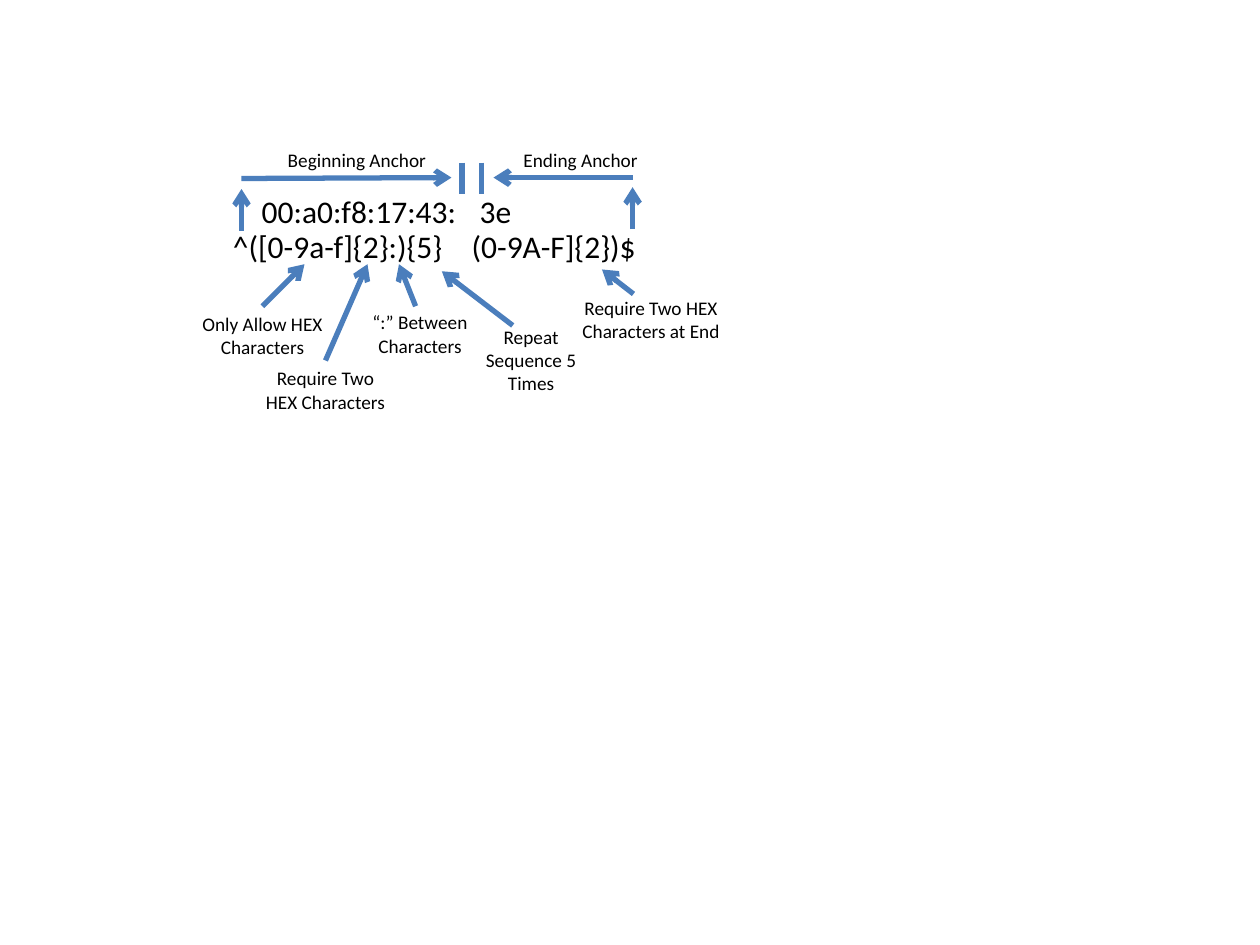
from lxml import etree
from pptx import Presentation
from pptx.dml.color import RGBColor
from pptx.enum import shapes, text
from pptx.oxml import ns
from pptx.util import Pt

COLORS = {"text": "000000", "line": "4B7EBC"}
FONT = "Calibri"
LEFT, CENTER, RIGHT = text.PP_ALIGN.LEFT, text.PP_ALIGN.CENTER, text.PP_ALIGN.RIGHT

# Content: address and pattern pieces (text, left, top, width)
CODE_HEIGHT = 29
CODE = [
    ("^([0-9a-f]{2}:){5}", 126, 126, 134),
    ("(0-9A-F]{2})$", 262.5, 126, 116),
    ("00:a0:f8:17:43:", 142.5, 106, 127.5),
    ("3e", 267, 106, 33),
]

# Labels: paragraphs, left, top, width, height, alignment
NOTE_WIDTH = 132
LABELS = [
    (["Beginning Anchor"], 138, 81, NOTE_WIDTH, 20.6, CENTER),
    (["Ending Anchor"], 290, 81, 81.5, 20.6, RIGHT),
    (["Only Allow HEX Characters"], 84, 175, NOTE_WIDTH, 34, CENTER),
    (["Require Two", "HEX Characters"], 120, 206, NOTE_WIDTH, 34, CENTER),
    (["“:” Between", "Characters"], 174, 174, NOTE_WIDTH, 34, CENTER),
    (["Repeat", "Sequence 5", "Times"], 237.5, 182.5, NOTE_WIDTH, 47.5, CENTER),
    (["Require Two HEX Characters at End"], 306, 165.5, NOTE_WIDTH, 34, CENTER),
]

# Lines: start x, start y, end x, end y
POINTERS = [
    (150, 175, 174, 151),
    (186, 206, 210, 151),
    (237.5, 175, 228, 151),
    (293, 186, 252.5, 155),
    (362, 168, 344, 154),
]
ANCHOR_ARROWS = [
    (138, 132, 138, 108),
    (138, 102, 258, 101.5),
    (361.5, 131, 361.5, 107),
    (361.5, 101.5, 282, 101.5),
]
DIVIDERS = [(x, 93, x, 111) for x in (264, 275)]


def add_text(slide, paragraphs, left, top, width, height, size=11, align=LEFT, wrap=True):
    box = slide.shapes.add_textbox(Pt(left), Pt(top), Pt(width), Pt(height))
    frame = box.text_frame
    frame.word_wrap = wrap
    frame.auto_size = text.MSO_AUTO_SIZE.SHAPE_TO_FIT_TEXT
    for index, line in enumerate(paragraphs):
        paragraph = frame.add_paragraph() if index else frame.paragraphs[0]
        paragraph.alignment = align
        run = paragraph.add_run()
        run.text = line
        run.font.size = Pt(size)
        run.font.name = FONT
        run.font.color.rgb = RGBColor.from_string(COLORS["text"])


def add_line(slide, points, arrow=True):
    line = slide.shapes.add_connector(
        shapes.MSO_CONNECTOR.STRAIGHT, *(Pt(value) for value in points))
    line.line.width = Pt(3)
    line.line.color.rgb = RGBColor.from_string(COLORS["line"])
    properties = line.line._get_or_add_ln()
    if arrow:
        etree.SubElement(properties, ns.qn("a:tailEnd"), type="arrow")
    etree.SubElement(properties.getparent(), ns.qn("a:effectLst"))


presentation = Presentation()
presentation.slide_width, presentation.slide_height = Pt(720), Pt(540)
slide = presentation.slides.add_slide(presentation.slide_layouts[6])

# Arrows and dividers
for points in POINTERS + ANCHOR_ARROWS:
    add_line(slide, points)
for points in DIVIDERS:
    add_line(slide, points, arrow=False)

# Address, pattern and labels
for content, left, top, width in CODE:
    add_text(slide, [content], left, top, width, CODE_HEIGHT, size=18, wrap=False)
for paragraphs, left, top, width, height, align in LABELS:
    add_text(slide, paragraphs, left, top, width, height, align=align)

presentation.save("out.pptx")
